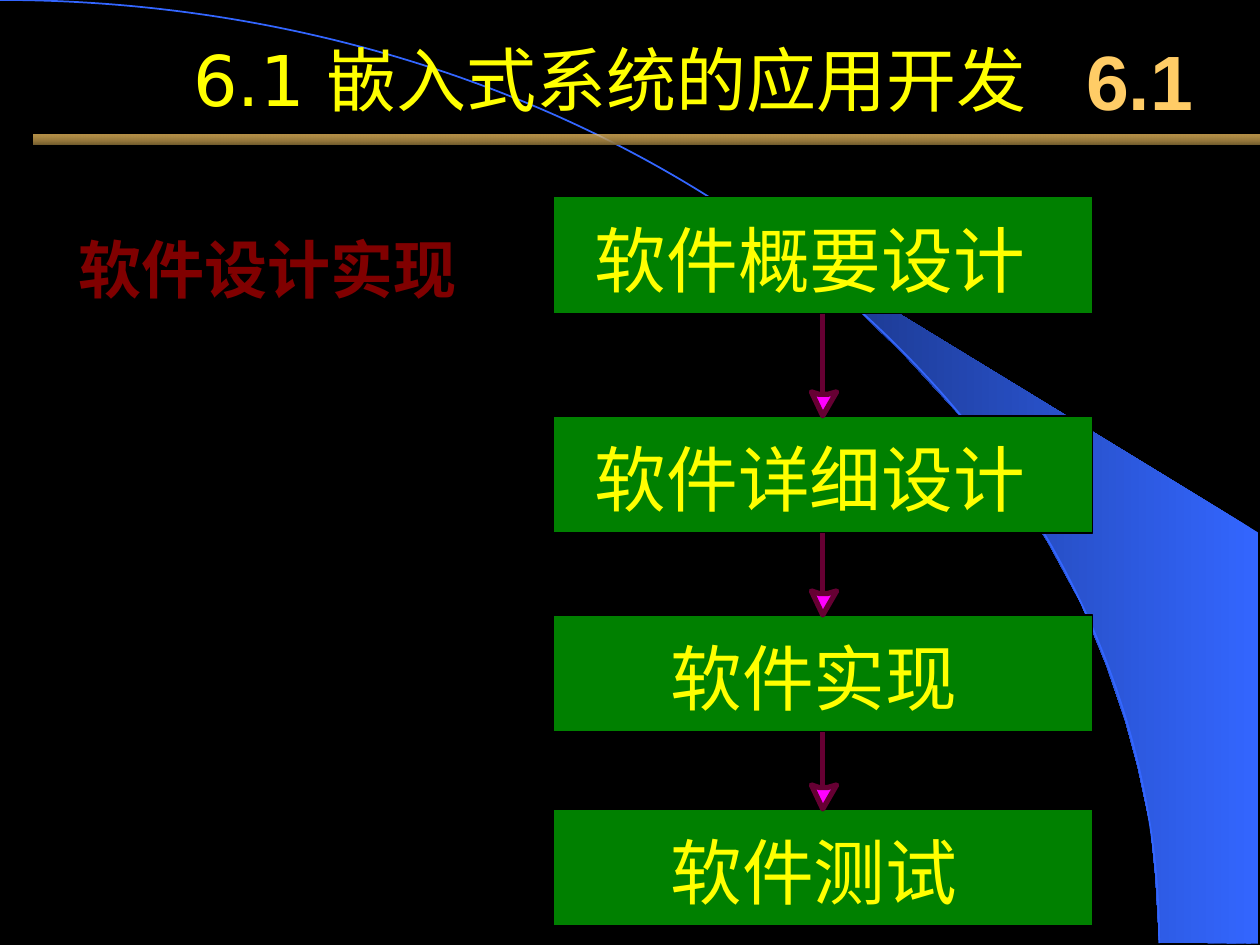
from typing import NamedTuple

from lxml.etree import SubElement
from pptx import Presentation
from pptx.dml.color import RGBColor
from pptx.enum.shapes import MSO_CONNECTOR, MSO_SHAPE
from pptx.enum.text import MSO_ANCHOR, MSO_AUTO_SIZE, PP_ALIGN
from pptx.oxml.ns import qn
from pptx.util import Inches, Pt

HAN = "Noto Sans CJK SC"
YELLOW, GREEN, BLUE = "FFFF00", "008000", "3366FF"
PLUM, PINK, BLACK = "660033", "FF00FF", "000000"
LEFT, WIDE, HIGH = 4.39, 4.28, 0.93
MID = LEFT + WIDE / 2


class Step(NamedTuple):
    text: str
    top: float
    left: float
    width: float


STEPS = [
    Step("软件概要设计", 1.56, 4.72, 3.42),
    Step("软件详细设计", 3.30, 4.72, 3.42),
    Step("软件实现", 4.88, 5.32, 2.28),
    Step("软件测试", 6.42, 5.32, 2.28),
]

# Points in hundredths of an inch
BAND = [
    (920, 748), (999, 749), (999, 423), (589, 173), (624, 199), (653, 222),
    (685, 250), (716, 280), (762, 330), (803, 384), (832, 431), (858, 479),
    (878, 528), (893, 572), (903, 609), (913, 656), (917, 696),
]
HEAD = [(0, 0), (11, -19), (4, -17), (-3, -17), (-9, -19)]


def tint(code: str) -> RGBColor:
    return RGBColor.from_string(code)


def paint(shape, fill="", line="", width=1.0) -> None:
    """Set solid fill and line; an empty colour means none."""
    shape.shadow.inherit = False
    if fill:
        shape.fill.solid()
        shape.fill.fore_color.rgb = tint(fill)
    else:
        shape.fill.background()
    if line:
        shape.line.color.rgb = tint(line)
        shape.line.width = Pt(width)
    else:
        shape.line.fill.background()


def blend(shape, first: str, last: str, angle: float) -> None:
    """Fill with a two-colour gradient, angle counter-clockwise."""
    paint(shape)
    shape.fill.gradient()
    shape.fill.gradient_angle = angle
    for stop, code, pos in zip(shape.fill.gradient_stops, (first, last), (0, 1)):
        stop.color.rgb = tint(code)
        stop.position = pos


def place(shape, left: float, top: float, width: float, height: float) -> None:
    shape.left, shape.top = Inches(left), Inches(top)
    shape.width, shape.height = Inches(width), Inches(height)


def write(shape, text: str, *, size: float, color: str, font: str = HAN,
          bold=False, align=PP_ALIGN.CENTER, anchor=MSO_ANCHOR.MIDDLE,
          wrap=True, inset=(0.1, 0.05), space=1.0) -> None:
    frame = shape.text_frame
    frame.auto_size = MSO_AUTO_SIZE.NONE
    frame.word_wrap = wrap
    frame.vertical_anchor = anchor
    frame.margin_left = frame.margin_right = Inches(inset[0])
    frame.margin_top = frame.margin_bottom = Inches(inset[1])
    para = frame.paragraphs[0]
    para.alignment, para.line_spacing = align, space
    run = para.add_run()
    run.text = text
    run.font.name, run.font.size, run.font.bold = font, Pt(size), bold
    run.font.color.rgb = tint(color)
    east = SubElement(run.font._element, qn("a:ea"))
    east.set("typeface", HAN)


def label(shapes, box: tuple, text: str, **style) -> None:
    write(shapes.add_textbox(*map(Inches, box)), text, **style)


def outline(shapes, points: list):
    pen = shapes.build_freeform(*points[0], scale=Inches(0.01))
    pen.add_line_segments(points[1:], close=True)
    return pen.convert_to_shape()


def block(shapes, kind, box: tuple):
    return shapes.add_shape(kind, *map(Inches, box))


def arrow(shapes, start: float, end: float) -> None:
    """Draw a vertical shaft with a notched head whose tip is at end."""
    shaft = shapes.add_connector(
        MSO_CONNECTOR.STRAIGHT, Inches(MID), Inches(start),
        Inches(MID), Inches(end - 0.15))
    shaft.line.color.rgb = tint(PLUM)
    shaft.line.width = Pt(3)
    SubElement(shaft._element.spPr, qn("a:effectLst"))
    tip = [(round(MID * 100) + x, round(end * 100) + y) for x, y in HEAD]
    paint(outline(shapes, tip), PINK, PLUM, 3)


def step(shapes, item: Step) -> None:
    rect = block(shapes, MSO_SHAPE.RECTANGLE, (LEFT, item.top, WIDE, HIGH))
    paint(rect, GREEN, BLACK, 0.88)
    label(shapes, (item.left, item.top + 0.15, item.width, 0.68), item.text,
          size=41, color=YELLOW, align=PP_ALIGN.LEFT, anchor=MSO_ANCHOR.TOP,
          wrap=False, inset=(0, 0))


def main() -> None:
    deck = Presentation()
    deck.slide_width, deck.slide_height = Inches(10), Inches(7.5)
    slide = deck.slides.add_slide(deck.slide_layouts[5])
    slide.background.fill.solid()
    slide.background.fill.fore_color.rgb = tint(BLACK)
    shapes = slide.shapes

    blend(outline(shapes, BAND), BLUE, "172F75", 180)
    paint(block(shapes, MSO_SHAPE.ARC, (-9.2, 0, 18.4, 14.97)), line=BLUE)

    label(shapes, (0.35, 1.94, 3.54, 0.52), "软件设计实现", size=36,
          color="800000", font="Times New Roman", bold=True,
          anchor=MSO_ANCHOR.BOTTOM, space=0.7)
    for item in STEPS:
        step(shapes, item)
    for one, two in zip(STEPS, STEPS[1:]):
        arrow(shapes, one.top + HIGH, two.top)

    label(shapes, (8.42, 0.17, 1.25, 0.92), "6.1", size=44,
          color="FFCC66", font="Arial", bold=True)
    title = shapes.title
    place(title, 0.59, 0, 8.5, 1.25)
    write(title, "6.1 嵌入式系统的应用开发", size=40, color=YELLOW,
          font="DejaVu Sans")
    shapes._spTree.append(title._element)  # bring to front

    bar = block(shapes, MSO_SHAPE.RECTANGLE, (0.27, 1.07, 9.73, 0.08))
    blend(bar, "FFCC66", "755E2F", 270)
    first = bar._element.spPr.find(".//" + qn("a:srgbClr"))
    SubElement(first, qn("a:alpha")).set("val", "70000")

    deck.save("out.pptx")


if __name__ == "__main__":
    main()
